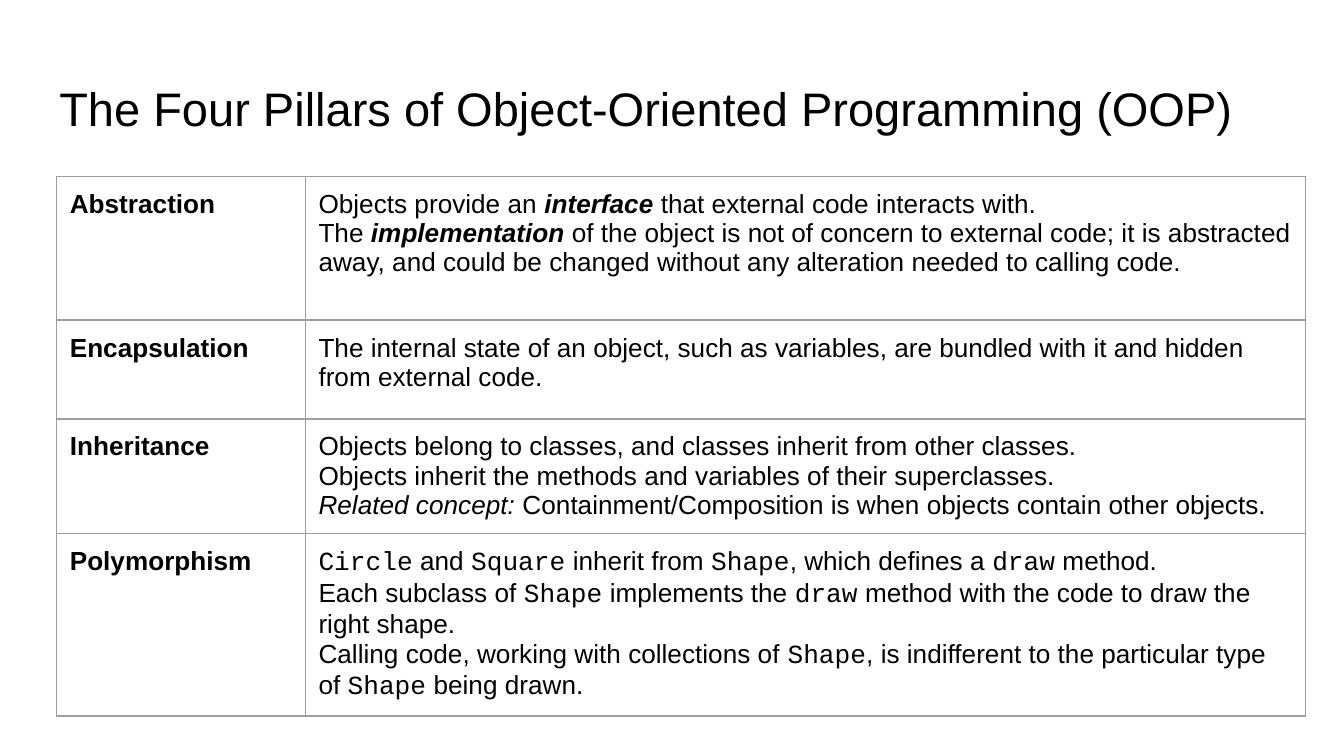
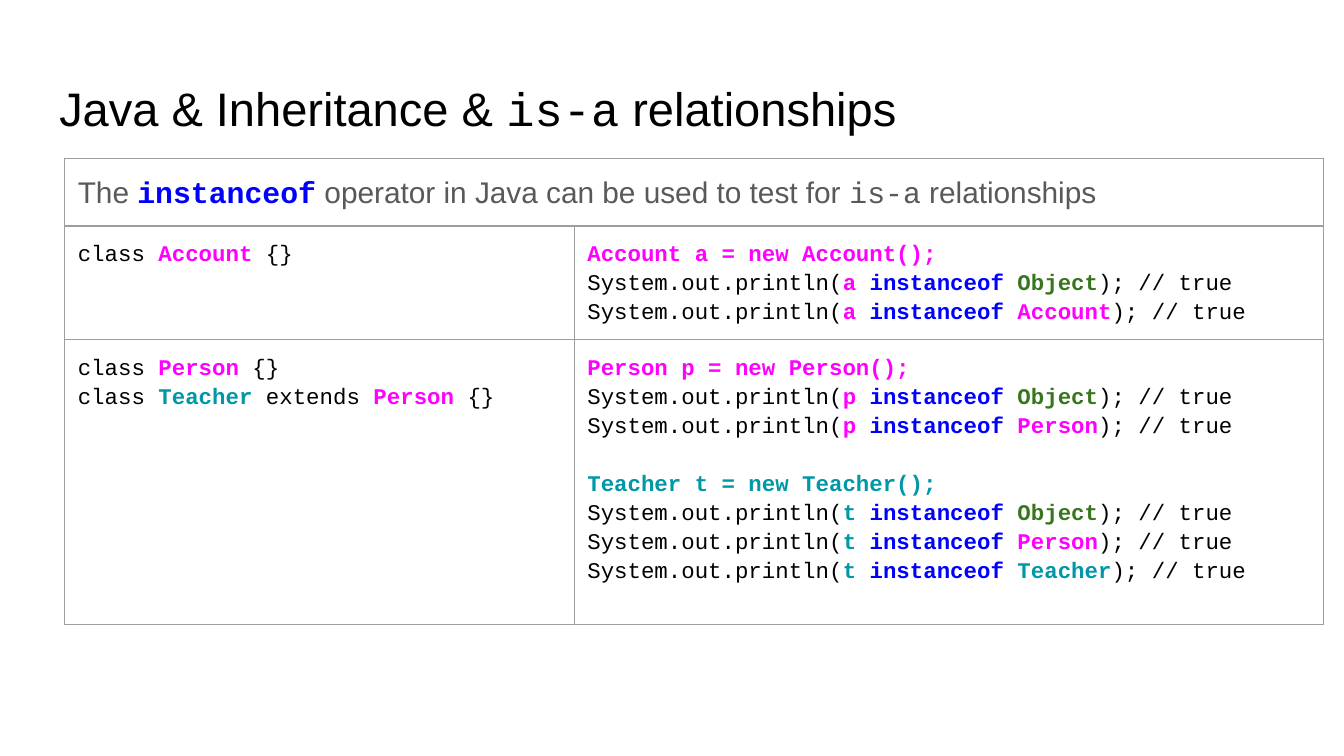
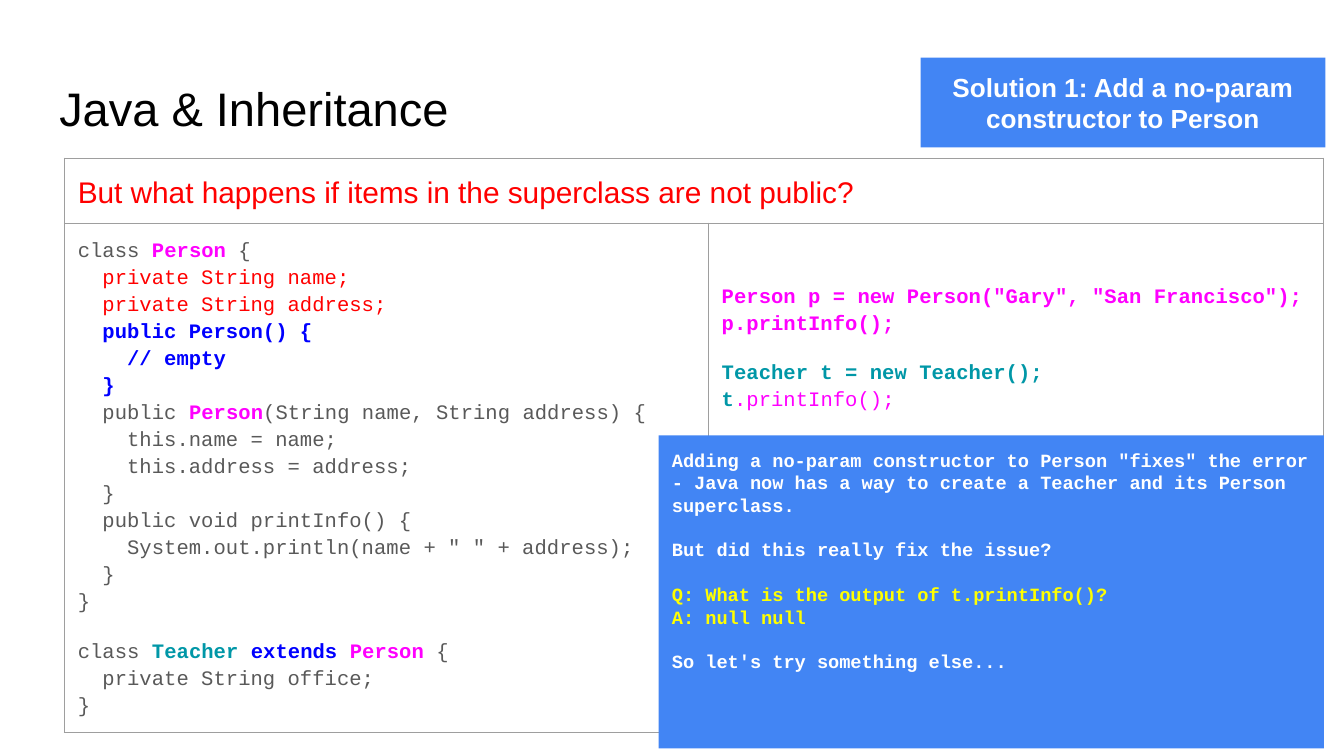
"""Builds three slides on object-oriented programming and Java inheritance."""
from copy import deepcopy

from lxml import etree
from pptx import Presentation
from pptx.dml.color import RGBColor
from pptx.enum.shapes import MSO_SHAPE
from pptx.enum.text import MSO_ANCHOR, MSO_AUTO_SIZE, PP_ALIGN
from pptx.oxml.ns import qn
from pptx.util import Cm, Pt

RECT = MSO_SHAPE.RECTANGLE
TOP, MIDDLE = MSO_ANCHOR.TOP, MSO_ANCHOR.MIDDLE
LEFT, CENTER = PP_ALIGN.LEFT, PP_ALIGN.CENTER
NO_FIT = MSO_AUTO_SIZE.NONE

COLORS = {
    "black": "000000", "gray": "595959", "white": "FFFFFF", "red": "FF0000",
    "yellow": "FFFF00", "magenta": "FF00FF", "blue": "0000FF",
    "teal": "0097A7", "green": "38761D", "panel": "4285F4", "border": "9E9E9E",
}
SANS, MONO = "Arial", "Courier New"
STYLES = {
    "body": (SANS, "black", False, False),
    "strong": (SANS, "black", True, False),
    "term": (SANS, "black", True, True),
    "aside": (SANS, "black", False, True),
    "lead": (SANS, "gray", False, False),
    "alert": (SANS, "red", False, False),
    "banner": (SANS, "white", True, False),
    "code": (MONO, "black", False, False),
    "soft": (MONO, "gray", False, False),
    "private": (MONO, "red", False, False),
    "call": (MONO, "magenta", False, False),
    "note": (MONO, "white", True, False),
    "answer": (MONO, "yellow", True, False),
    "magenta": (MONO, "magenta", True, False),
    "blue": (MONO, "blue", True, False),
    "teal": (MONO, "teal", True, False),
    "green": (MONO, "green", True, False),
}


def rgb(name):
    return RGBColor.from_string(COLORS[name])


class Deck:
    def __init__(self):
        self.prs = Presentation()
        self.prs.slide_width, self.prs.slide_height = Cm(25.4), Cm(14.29)
        self.s = None

    def slide(self, title):
        self.s = self.prs.slides.add_slide(self.prs.slide_layouts[5])
        sp = self.s.shapes.title
        sp.left, sp.top, sp.width, sp.height = Cm(0.87), Cm(1.24), Cm(23.67), Cm(1.6)
        self.text(sp.text_frame, [title], 25.2, "body", anchor=MIDDLE)

    def text(self, tf, paragraphs, size, base, spacing=1.0, gap=0, align=LEFT, anchor=TOP):
        tf.word_wrap, tf.auto_size, tf.vertical_anchor = True, NO_FIT, anchor
        tf.margin_left = tf.margin_right = tf.margin_top = tf.margin_bottom = Cm(0.25)
        self.paragraphs(tf, paragraphs, size, base, spacing, gap, align)

    def paragraphs(self, tf, paragraphs, size, base, spacing, gap, align=LEFT):
        for i, runs in enumerate(paragraphs):
            p = tf.add_paragraph() if i else tf.paragraphs[0]
            p.alignment, p.line_spacing = align, spacing
            p.space_before = Pt(gap if i else 0)
            for run in [runs] if isinstance(runs, str) else runs:
                content, style = (run, base) if isinstance(run, str) else run
                self.run(p, content, style, size)

    def run(self, p, content, style, size):
        font, color, bold, italic = STYLES[style]
        for i, line in enumerate(content.split("\n")):
            if i:
                p.add_line_break()
                br = p._p.findall(qn("a:br"))[-1]
                br.append(deepcopy(br.getprevious().find(qn("a:rPr"))))
            if line:
                r = p.add_run()
                r.text = line
                r.font.name, r.font.size = font, Pt(size)
                r.font.bold, r.font.italic = bold, italic
                r.font.color.rgb = rgb(color)

    def table(self, left, top, widths, heights):
        frame = self.s.shapes.add_table(len(heights), len(widths), Cm(left), Cm(top),
                                        Cm(sum(widths)), Cm(sum(heights)))
        table = frame.table
        table.first_row = table.horz_banding = False
        for column, width in zip(table.columns, widths):
            column.width = Cm(width)
        for row, height in zip(table.rows, heights):
            row.height = Cm(height)
        for cell in table.iter_cells():
            cell.margin_left = cell.margin_right = Cm(0.25)
            cell.margin_top = cell.margin_bottom = Cm(0.25)
            self.borders(cell)
            cell.fill.background()
        return table

    def borders(self, cell):
        tcPr = cell._tc.get_or_add_tcPr()
        for side in ("a:lnL", "a:lnR", "a:lnT", "a:lnB"):
            ln = etree.SubElement(tcPr, qn(side), w=str(Pt(0.75)))
            fill = etree.SubElement(ln, qn("a:solidFill"))
            etree.SubElement(fill, qn("a:srgbClr"), val=COLORS["border"])

    def cell(self, cell, paragraphs, size, base, spacing=1.0, gap=0):
        self.paragraphs(cell.text_frame, paragraphs, size, base, spacing, gap)

    def code_table(self, widths, heights, heading, base):
        table = self.table(1.22, 2.99, widths, heights)
        table.cell(0, 0).merge(table.cell(0, 1))
        self.cell(table.cell(0, 0), [heading], 16, base, 1.15)
        return table

    def panel(self, left, top, width, height, paragraphs, size, base, gap=0, align=LEFT,
              anchor=TOP):
        sp = self.s.shapes.add_shape(RECT, Cm(left), Cm(top), Cm(width), Cm(height))
        sp.shadow.inherit = False
        sp.fill.solid()
        sp.fill.fore_color.rgb = rgb("panel")
        sp.line.fill.background()
        self.text(sp.text_frame, paragraphs, size, base, gap=gap, align=align, anchor=anchor)


def instance_tests(name, kind, color, classes):
    runs = [(f"{kind} {name} = new {kind}();", color)]
    for cls, cls_color in classes:
        runs += ["\nSystem.out.println(", (f"{name} ", color), ("instanceof ", "blue"),
                 (cls, cls_color), "); // true"]
    return runs


def pillars(deck):
    deck.slide("The Four Pillars of Object-Oriented Programming (OOP)")
    circle, square, shape, draw = [(w, "code") for w in ("Circle", "Square", "Shape", "draw")]
    rows = [
        ("Abstraction", [
            ["Objects provide an ", ("interface", "term"),
             " that external code interacts with."],
            ["The ", ("implementation", "term"),
             " of the object is not of concern to external code; it is abstracted away, "
             "and could be changed without any alteration needed to calling code."]]),
        ("Encapsulation", [
            "The internal state of an object, such as variables, are bundled with it and "
            "hidden from external code."]),
        ("Inheritance", [
            "Objects belong to classes, and classes inherit from other classes.",
            "Objects inherit the methods and variables of their superclasses.",
            [("Related concept:", "aside"),
             " Containment/Composition is when objects contain other objects."]]),
        ("Polymorphism", [
            [circle, " and ", square, " inherit from ", shape, ", which defines a ", draw,
             " method."],
            ["Each subclass of ", shape, " implements the ", draw,
             " method with the code to draw the right shape.\n"
             "Calling code, working with collections of ", shape,
             ", is indifferent to the particular type of ", shape, " being drawn."]]),
    ]
    table = deck.table(1.07, 3.33, [4.7, 18.9], [2.72, 1.87, 2.17, 3.44])
    for i, (pillar, meaning) in enumerate(rows):
        deck.cell(table.cell(i, 0), [pillar], 14, "strong")
        deck.cell(table.cell(i, 1), meaning, 14, "body")


def is_a(deck):
    deck.slide(["Java & Inheritance & ", ("is-a", "code"), " relationships"])
    heading = ["The ", ("instanceof", "blue"), " operator in Java can be used to test for ",
               ("is-a", "soft"), " relationships"]
    table = deck.code_table([9.63, 14.17], [1.28, 2.15, 5.39], heading, "lead")
    root, account, person = ("Object", "green"), ("Account", "magenta"), ("Person", "magenta")
    teacher = ("Teacher", "teal")
    rows = [
        (["class ", account, " {}"],
         [instance_tests("a", *account, [root, account])]),
        (["class ", person, " {}\nclass ", teacher, " extends ", person, " {}"],
         [instance_tests("p", *person, [root, person]),
          instance_tests("t", *teacher, [root, person, teacher])]),
    ]
    for i, (classes, tests) in enumerate(rows, 1):
        deck.cell(table.cell(i, 0), [classes], 12, "code", 1.15)
        deck.cell(table.cell(i, 1), tests, 12, "code", 1.15, gap=15.5)


def solution(deck):
    deck.slide("Java & Inheritance")
    table = deck.code_table([12.17, 11.63], [1.23, 9.62],
                            "But what happens if items in the superclass are not public?",
                            "alert")
    person = ("Person", "magenta")
    classes = [
        ["class ", person, " {\n",
         ("  private String name;\n  private String address;\n", "private"),
         ("  public Person() {\n    // empty\n  }\n", "blue"),
         "  public ", person,
         "(String name, String address) {\n"
         "    this.name = name;\n"
         "    this.address = address;\n"
         "  }\n"
         "  public void printInfo() {\n"
         '    System.out.println(name + " " + address);\n'
         "  }\n"
         "}"],
        ["class ", ("Teacher ", "teal"), ("extends ", "blue"), person,
         " {\n  private String office;\n}"],
    ]
    usage = [
        [('Person p = new Person("Gary", "San Francisco");\np.printInfo();', "magenta")],
        [("Teacher t = new Teacher();\nt", "teal"), (".printInfo();", "call")],
    ]
    deck.cell(table.cell(1, 0), classes, 11, "soft", 1.15, gap=12)
    deck.cell(table.cell(1, 1), usage, 11, "soft", 1.15, gap=12)
    table.cell(1, 1).margin_top = Cm(1.12)
    deck.panel(17.4, 1.09, 7.65, 1.7, ["Solution 1: Add a no-param constructor to Person"],
               14, "banner", align=CENTER, anchor=MIDDLE)
    deck.panel(12.45, 8.23, 12.57, 5.92, [
        'Adding a no-param constructor to Person "fixes" the error - Java now has a way to '
        "create a Teacher and its Person superclass.",
        "But did this really fix the issue?",
        [("Q: What is the output of t.printInfo()?\nA: null null", "answer")],
        "So let's try something else...",
    ], 10, "note", gap=12)


def main():
    deck = Deck()
    pillars(deck)
    is_a(deck)
    solution(deck)
    deck.prs.save("out.pptx")


if __name__ == "__main__":
    main()
